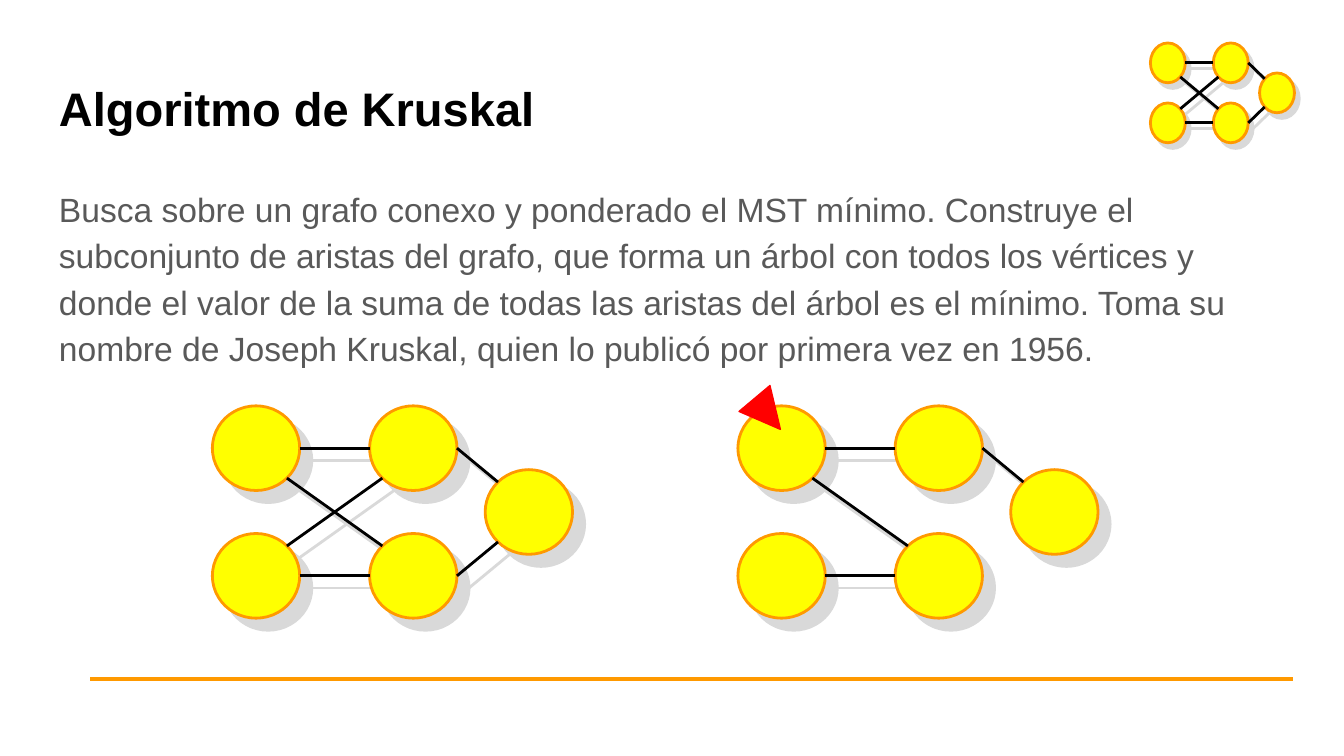
from dataclasses import dataclass
from math import cos, radians, sin

from lxml.etree import SubElement
from pptx import Presentation
from pptx.dml.color import RGBColor
from pptx.enum.shapes import MSO_CONNECTOR, MSO_SHAPE
from pptx.enum.text import MSO_ANCHOR
from pptx.oxml.ns import qn
from pptx.util import Inches, Pt

SLIDE_WIDTH = Inches(10)
SLIDE_HEIGHT = SLIDE_WIDTH * 9 // 16
COLUMNS = 100  # square grid cells across the slide

TITLE = "Algoritmo de Kruskal"
DEFINITION = (
    "Busca sobre un grafo conexo y ponderado el MST mínimo. Construye el "
    "subconjunto de aristas del grafo, que forma un árbol con todos los "
    "vértices y donde el valor de la suma de todas las aristas del árbol es "
    "el mínimo. Toma su nombre de Joseph Kruskal, quien lo publicó por "
    "primera vez en 1956."
)

# Full-size graph, in grid cells
NODE_WIDTH, NODE_HEIGHT = 6.5, 6.3
NODES = [(0, 0), (11.7, 0), (0, 9.5), (11.7, 9.5), (20.3, 4.75)]
SHADOW_OFFSET = 0.9

# Edge: start node, start angle, end node, end angle (clockwise from the right)
TREE_EDGES = [(0, 0, 1, 180), (1, 0, 4, 225), (2, 0, 3, 180), (0, 45, 3, 225)]
ALL_EDGES = TREE_EDGES + [(3, 0, 4, 135), (2, 315, 1, 135)]


@dataclass(frozen=True)
class Theme:
    font: str = "Arial"
    title_size: float = 25.2
    body_size: float = 18
    title: str = "000000"
    body: str = "595959"
    node: str = "FFFF00"
    accent: str = "FF9900"
    edge: str = "000000"
    shadow: str = "D9D9D9"
    marker: str = "FF0000"
    graph_line: float = 1.5
    rule_line: float = 2.25
    marker_line: float = 0.75


THEME = Theme()


def cells(count):
    return round(count * SLIDE_WIDTH / COLUMNS)


def apply_format(target, values):
    for attribute, value in values.items():
        setattr(target, attribute, value)


def add_text(slide, box, text, font, paragraph_format, anchor):
    text_box = slide.shapes.add_textbox(*map(cells, box))
    frame = text_box.text_frame
    margins = dict.fromkeys(
        ("margin_left", "margin_top", "margin_right", "margin_bottom"), cells(1)
    )
    apply_format(frame, {"word_wrap": True, "vertical_anchor": anchor, **margins})
    paragraph = frame.paragraphs[0]
    apply_format(paragraph, paragraph_format)
    run = paragraph.add_run()
    run.text = text
    color = font.pop("color")
    apply_format(run.font, {"name": THEME.font, **font})
    run.font.color.rgb = RGBColor.from_string(color)


def add_figure(shapes, kind, box, fill, line, width):
    figure = shapes.add_shape(kind, *map(cells, box))
    figure.shadow.inherit = False
    figure.fill.solid()
    figure.fill.fore_color.rgb = RGBColor.from_string(fill)
    figure.line.color.rgb = RGBColor.from_string(line)
    figure.line.width = Pt(width)
    return figure


def add_line(shapes, start, end, color, width):
    line = shapes.add_connector(MSO_CONNECTOR.STRAIGHT, *map(cells, (*start, *end)))
    line.line.color.rgb = RGBColor.from_string(color)
    line.line.width = Pt(width)
    SubElement(line._element.spPr, qn("a:effectLst"))


def rim_point(node_box, angle):
    """Point on the edge of a node's ellipse."""
    left, top, width, height = node_box
    return (
        left + width / 2 * (1 + cos(radians(angle))),
        top + height / 2 * (1 + sin(radians(angle))),
    )


def add_graph(slide, left, top, edges, scale_x=1, scale_y=1):
    """Nodes and edges in one group, above a shifted grey set as their shadow."""
    shapes = slide.shapes.add_group_shape().shapes
    layers = [
        (SHADOW_OFFSET, THEME.shadow, THEME.shadow, THEME.shadow),
        (0, THEME.node, THEME.accent, THEME.edge),
    ]
    for offset, fill, outline, edge_color in layers:
        nodes = [
            (
                left + (x + offset) * scale_x,
                top + (y + offset) * scale_y,
                NODE_WIDTH * scale_x,
                NODE_HEIGHT * scale_y,
            )
            for x, y in NODES
        ]
        for node in nodes:
            add_figure(shapes, MSO_SHAPE.OVAL, node, fill, outline, THEME.graph_line)
        for first, first_angle, second, second_angle in edges:
            start = rim_point(nodes[first], first_angle)
            end = rim_point(nodes[second], second_angle)
            add_line(shapes, start, end, edge_color, THEME.graph_line)


def add_start_marker(slide):
    marker = add_figure(
        slide.shapes, MSO_SHAPE.ISOSCELES_TRIANGLE, (55.6, 29.3, 3, 3),
        THEME.marker, THEME.marker, THEME.marker_line,
    )
    marker.rotation = 140


def main():
    presentation = Presentation()
    presentation.slide_width = SLIDE_WIDTH
    presentation.slide_height = SLIDE_HEIGHT
    slide = presentation.slides.add_slide(presentation.slide_layouts[6])

    add_text(
        slide, (3.4, 12.6, 93.2, 37.4), DEFINITION,
        {"size": Pt(THEME.body_size), "color": THEME.body},
        {"line_spacing": 1.15, "space_after": Pt(12)}, MSO_ANCHOR.TOP,
    )
    add_text(
        slide, (3.4, 4.9, 93.2, 6.3), TITLE,
        {"size": Pt(THEME.title_size), "bold": True, "color": THEME.title},
        {}, MSO_ANCHOR.MIDDLE,
    )
    add_line(slide.shapes, (6.7, 50.5), (96.2, 50.5), THEME.accent, THEME.rule_line)
    add_graph(slide, 85.6, 3.2, ALL_EDGES, scale_x=0.4, scale_y=0.47)
    add_graph(slide, 15.8, 30.2, ALL_EDGES)
    add_graph(slide, 54.9, 30.2, TREE_EDGES)
    add_start_marker(slide)
    presentation.save("out.pptx")


if __name__ == "__main__":
    main()
